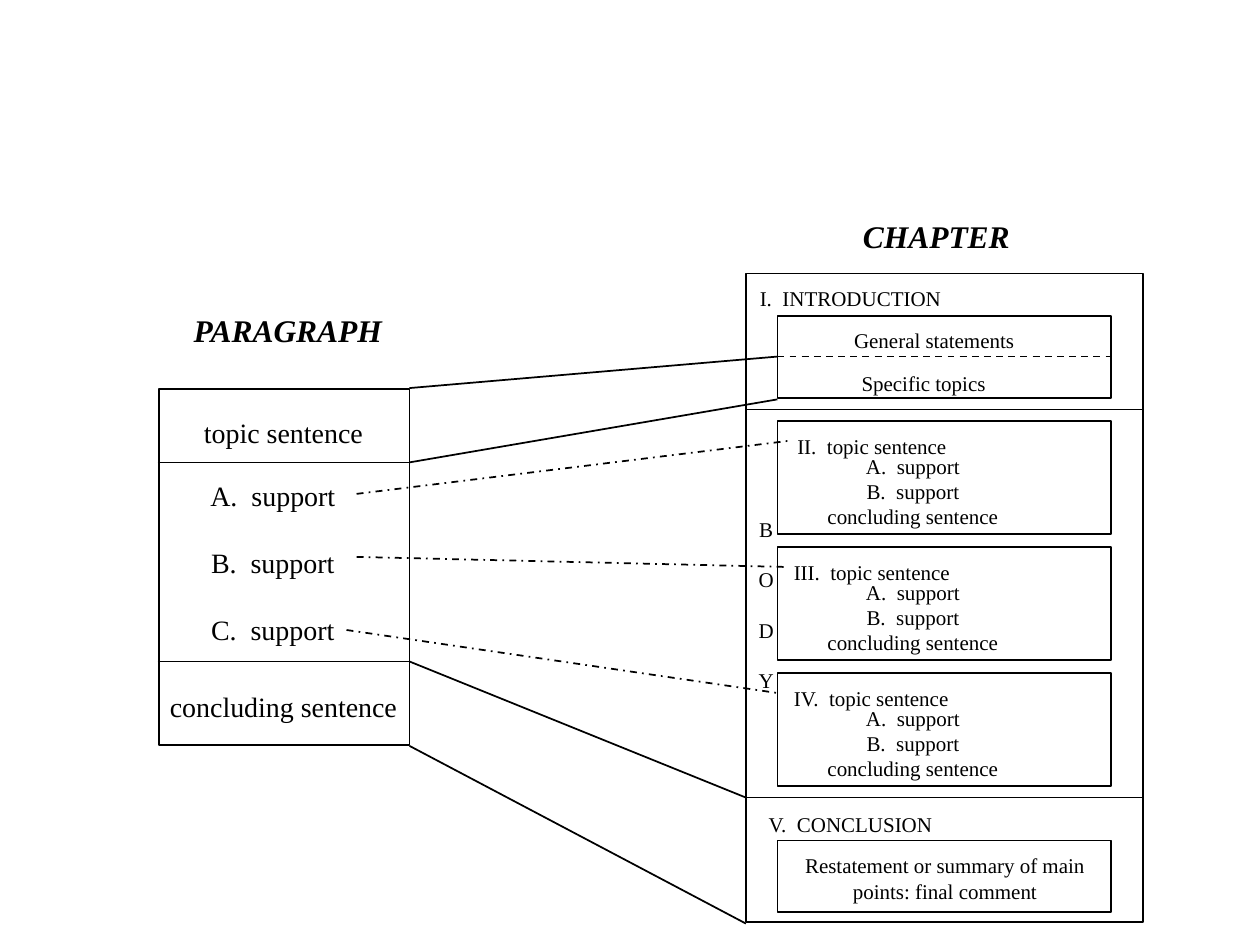
import pptx
import pptx.dml.color
import pptx.enum.dml
import pptx.enum.shapes
import pptx.enum.text
import pptx.oxml
import pptx.util

Inches = pptx.util.Inches
Pt = pptx.util.Pt
Dash = pptx.enum.dml.MSO_LINE
Align = pptx.enum.text.PP_ALIGN

COLORS = {"ink": "000000"}
FONT = "Times New Roman"
HEADING, LARGE, SMALL = 18, 16, 12


class Diagram:
    """Holds the line and text style together with the slide being drawn."""

    def __init__(self, slide):
        self.slide = slide
        self.ink = pptx.dml.color.RGBColor.from_string(COLORS["ink"])

    def style_line(self, line, dash=None):
        line.color.rgb = self.ink
        line.width = Pt(1)
        if dash is not None:
            line.dash_style = dash

    def box(self, left, top, width, height):
        shape = self.slide.shapes.add_shape(
            pptx.enum.shapes.MSO_SHAPE.RECTANGLE,
            Inches(left), Inches(top), Inches(width), Inches(height))
        shape.shadow.inherit = False
        shape.fill.background()
        self.style_line(shape.line)

    def line(self, start, end, dash=None):
        connector = self.slide.shapes.add_connector(
            pptx.enum.shapes.MSO_CONNECTOR.STRAIGHT,
            *(Inches(value) for value in (*start, *end)))
        self.style_line(connector.line, dash)
        properties = connector._element.spPr
        properties.append(pptx.oxml.parse_xml(
            '<a:effectLst xmlns:a='
            '"http://schemas.openxmlformats.org/drawingml/2006/main"/>'))

    def text(self, left, top, width, height, lines, size=SMALL, gap=0,
             heading=False, align=Align.CENTER):
        """Add unwrapped lines of text, with gap points between them."""
        shape = self.slide.shapes.add_textbox(
            Inches(left), Inches(top), Inches(width), Inches(height))
        frame = shape.text_frame
        frame.word_wrap = False
        frame.auto_size = pptx.enum.text.MSO_AUTO_SIZE.SHAPE_TO_FIT_TEXT
        # Narrower side margins leave every line room to stay whole.
        frame.margin_right = Inches(0.05)
        if align == Align.CENTER:
            frame.margin_left = Inches(0.05)
        for index, line in enumerate(lines):
            paragraph = frame.add_paragraph() if index else frame.paragraphs[0]
            paragraph.alignment = align
            if index and gap:
                paragraph.space_before = Pt(gap)
            run = paragraph.add_run()
            run.text = line
            run.font.name = FONT
            run.font.size = Pt(size)
            run.font.color.rgb = self.ink
            if heading:
                run.font.bold = run.font.italic = True


def draw_paragraph(diagram):
    diagram.text(1.43, 2.42, 1.71, 0.4, ["PARAGRAPH"], HEADING, heading=True)
    diagram.box(1.26, 3.09, 1.99, 2.82)
    for y in (3.67, 5.25):
        diagram.line((1.25, y), (3.25, y))
    diagram.text(1.52, 3.25, 1.46, 0.36, ["topic sentence"], LARGE)
    diagram.text(1.57, 3.75, 1.19, 1.43,
                 ["A.  support", "B.  support", "C.  support"], LARGE, gap=19.2)
    diagram.text(1.25, 5.42, 2, 0.36, ["concluding sentence"], LARGE)


def draw_chapter(diagram):
    diagram.text(6.75, 1.67, 1.36, 0.4, ["CHAPTER"], HEADING, heading=True,
                 align=Align.LEFT)
    diagram.box(5.92, 2.17, 3.15, 5.15)
    for y in (3.25, 6.33):
        diagram.line((5.92, y), (9.08, y))

    diagram.text(5.93, 2.22, 1.64, 0.3, ["I.  INTRODUCTION"])
    diagram.box(6.17, 2.51, 2.65, 0.65)
    diagram.line((6.17, 2.83), (8.83, 2.83), Dash.DASH)
    diagram.text(6.68, 2.55, 1.47, 0.3, ["General statements"])
    diagram.text(6.74, 2.89, 1.18, 0.3, ["Specific topics"])

    topics = (("II", 6.23, 1.38), ("III", 6.2, 1.44), ("IV", 6.19, 1.45))
    for index, (numeral, left, width) in enumerate(topics):
        top = 3.34 + index
        diagram.box(6.17, top, 2.65, 0.9)
        diagram.text(left, top + 0.05, width, 0.3, [f"{numeral}.  topic sentence"])
        diagram.text(6.47, top + 0.21, 1.55, 0.7,
                     ["A.  support", "B.  support", "concluding sentence"])
    diagram.text(5.92, 4.05, 0.32, 1.5, list("BODY"), gap=14.4)

    diagram.text(5.99, 6.39, 1.52, 0.3, ["V.  CONCLUSION"])
    diagram.box(6.17, 6.67, 2.65, 0.57)
    diagram.text(6.29, 6.72, 2.42, 0.5,
                 ["Restatement or summary of main", "points: final comment"])


def draw_links(diagram):
    """Join each part of the paragraph to its part of the chapter."""
    for start, end in (((3.25, 3.08), (6.17, 2.83)),
                       ((3.25, 3.67), (6.17, 3.17)),
                       ((3.25, 5.25), (5.92, 6.33)),
                       ((3.25, 5.92), (5.92, 7.33))):
        diagram.line(start, end)
    for start, end in (((2.83, 3.92), (6.25, 3.5)),
                       ((2.83, 4.42), (6.25, 4.5)),
                       ((2.75, 5), (6.17, 5.5))):
        diagram.line(start, end, Dash.DASH_DOT)


def main():
    presentation = pptx.Presentation()
    presentation.slide_width = Inches(10)
    presentation.slide_height = Inches(7.5)
    blank_layout = presentation.slide_layouts[6]
    diagram = Diagram(presentation.slides.add_slide(blank_layout))
    draw_paragraph(diagram)
    draw_chapter(diagram)
    draw_links(diagram)
    presentation.save("out.pptx")


if __name__ == "__main__":
    main()
